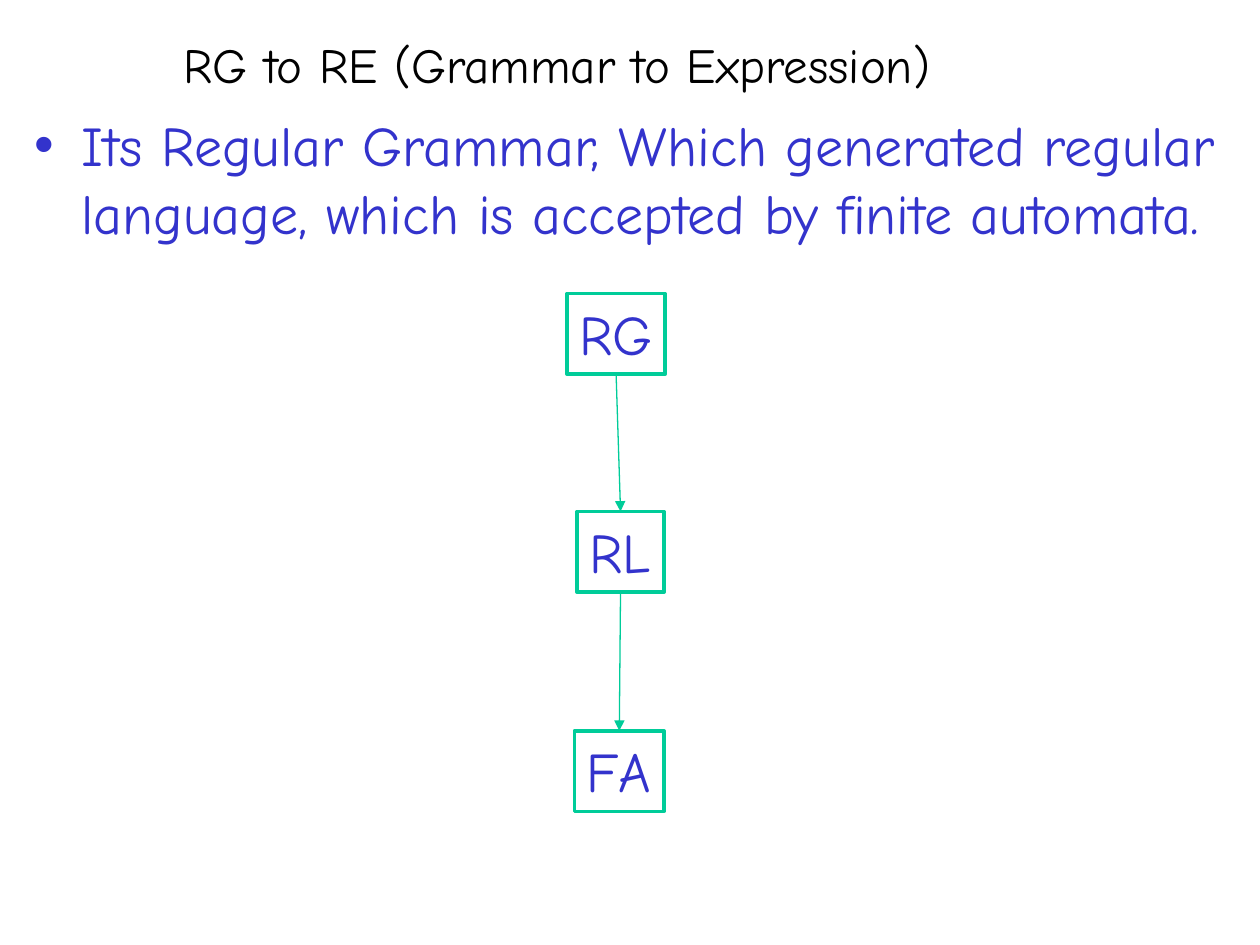
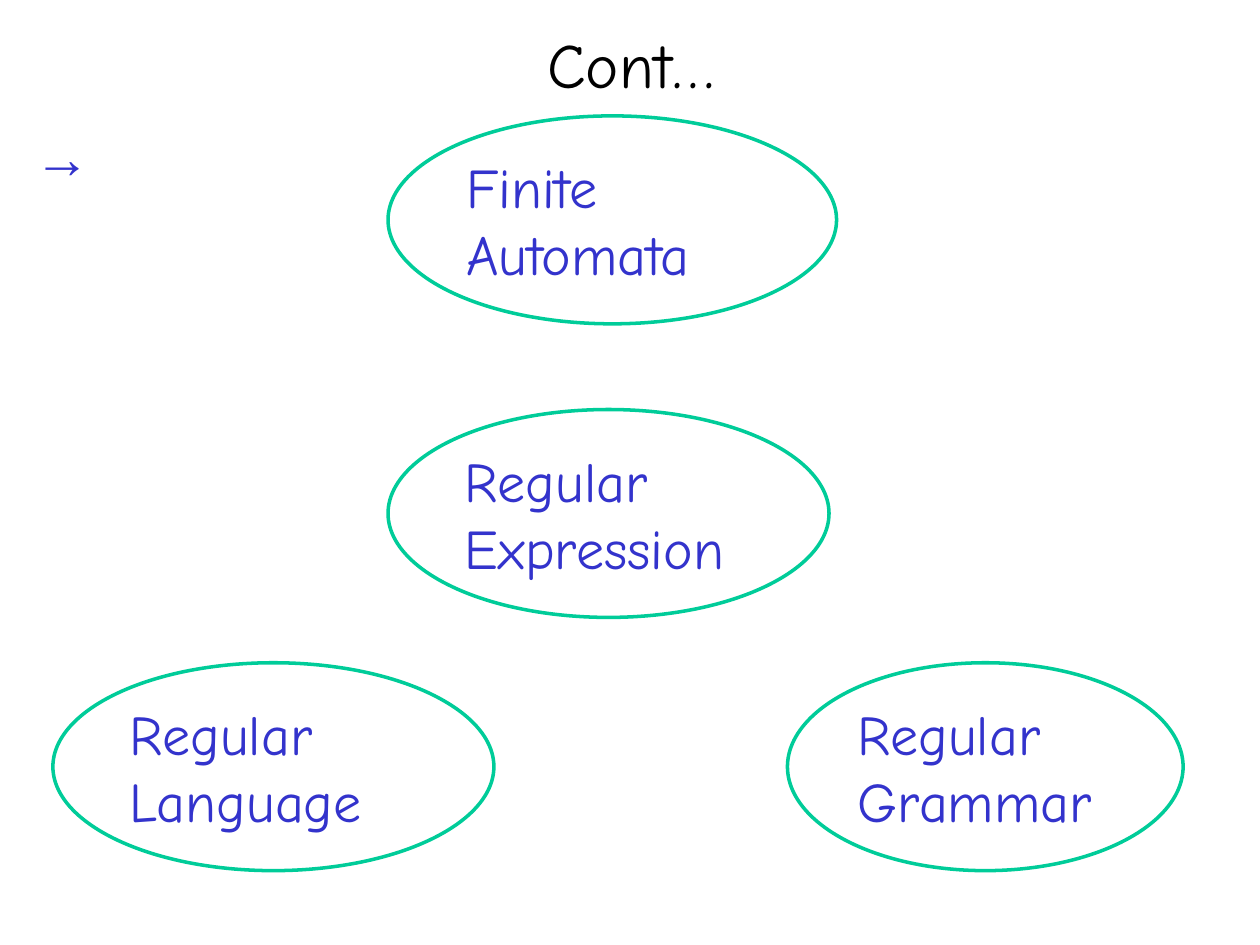
from dataclasses import dataclass

from pptx import Presentation
from pptx.dml.color import RGBColor
from pptx.enum.shapes import MSO_CONNECTOR, MSO_SHAPE
from pptx.enum.text import MSO_ANCHOR, MSO_AUTO_SIZE, PP_ALIGN
from pptx.oxml.ns import qn
from pptx.util import Inches, Pt

BLACK = RGBColor(0x00, 0x00, 0x00)
WHITE = RGBColor(0xFF, 0xFF, 0xFF)
BLUE = RGBColor(0x33, 0x33, 0xCC)
GREEN = RGBColor(0x00, 0xCC, 0x99)
FONT = "Comic Neue"
SYMBOL_FONT = "Arial"
TEXT_SIZE = 32
MARGIN = 0.17
CONTENT_WIDTH = 9.67
BOX_HEIGHT = 0.64
OVAL_HEIGHT = 1.65


@dataclass
class Node:
    text: str
    left: float
    top: float
    width: float


CHAIN = [
    Node("RG", 4.5, 2.33, 0.78),
    Node("RL", 4.58, 4.06, 0.69),
    Node("FA", 4.56, 5.8, 0.71),
]
OVALS = [
    Node("Regular Expression", 3.08, 3.25, 3.5),
    Node("Finite Automata", 3.08, 0.92, 3.56),
    Node("Regular Language", 0.42, 5.26, 3.5),
    Node("Regular Grammar", 6.25, 5.26, 3.14),
]


def place(sp, left: float, top: float, width: float, height: float) -> None:
    sp.left, sp.top = Inches(left), Inches(top)
    sp.width, sp.height = Inches(width), Inches(height)


def write(sp, text: str, size: int, color: RGBColor, anchor,
          align=PP_ALIGN.LEFT, font: str = FONT):
    """Fill a shape with one styled paragraph and return the paragraph."""
    tf = sp.text_frame
    tf.text = text
    tf.auto_size = MSO_AUTO_SIZE.NONE
    tf.vertical_anchor = anchor
    p = tf.paragraphs[0]
    p.alignment = align
    p.space_before = Pt(0)
    for r in p.runs:
        r.font.name, r.font.size = font, Pt(size)
        r.font.color.rgb = color
    return p


def add_slide(prs, title: str, title_size: int, title_width: float,
              body: str, body_top: float, body_font: str = FONT):
    """Add a titled slide; return it with its body paragraph."""
    s = prs.slides.add_slide(prs.slide_layouts[1])
    place(s.shapes.title, MARGIN, MARGIN, title_width, 0.67)
    write(s.shapes.title, title, title_size, BLACK, MSO_ANCHOR.MIDDLE, PP_ALIGN.CENTER)
    sp = s.placeholders[1]
    place(sp, MARGIN, body_top, CONTENT_WIDTH, 6)
    p = write(sp, body, TEXT_SIZE, BLUE, MSO_ANCHOR.TOP, font=body_font)
    return s, p


def add_node(s, node: Node, preset, height: float, wrap: bool):
    sp = s.shapes.add_shape(preset, Inches(node.left), Inches(node.top),
                            Inches(node.width), Inches(height))
    sp.shadow.inherit = False
    sp.fill.solid()
    sp.fill.fore_color.rgb = WHITE
    sp.line.color.rgb = GREEN
    sp.line.width = Pt(2)
    write(sp, node.text, TEXT_SIZE, BLUE, MSO_ANCHOR.TOP)
    sp.text_frame.word_wrap = wrap
    return sp


def add_arrow(s, upper, lower) -> None:
    """Join the bottom of one box to the top of the next."""
    line = s.shapes.add_connector(MSO_CONNECTOR.STRAIGHT, 0, 0, 0, 0)
    line.begin_connect(upper, 2)
    line.end_connect(lower, 0)
    line.line.color.rgb = GREEN
    line.line.width = Pt(0.75)
    ln = line.line._get_or_add_ln()
    ln.append(ln.makeelement(qn("a:tailEnd"), {"type": "triangle"}))
    sp_pr = ln.getparent()
    sp_pr.append(sp_pr.makeelement(qn("a:effectLst"), {}))


def remove_bullet(p) -> None:
    p_pr = p._p.get_or_add_pPr()
    p_pr.set("marL", "0")
    p_pr.set("indent", "0")
    p_pr.append(p_pr.makeelement(qn("a:buNone"), {}))


def main() -> None:
    prs = Presentation()
    prs.slide_width, prs.slide_height = Inches(10), Inches(7.5)

    # Grammar, language and automaton chain
    s, _ = add_slide(prs, "RG to RE (Grammar to Expression)", 28, 8.5,
                     "Its Regular Grammar, Which generated regular language, "
                     "which is accepted by finite automata.", 0.83)
    boxes = [add_node(s, n, MSO_SHAPE.RECTANGLE, BOX_HEIGHT, False) for n in CHAIN]
    for upper, lower in zip(boxes, boxes[1:]):
        add_arrow(s, upper, lower)

    # Four related concepts
    s, p = add_slide(prs, "Cont…", 36, CONTENT_WIDTH, "→", 0.92, SYMBOL_FONT)
    remove_bullet(p)
    for n in OVALS:
        add_node(s, n, MSO_SHAPE.OVAL, OVAL_HEIGHT, True)

    prs.save("out.pptx")


if __name__ == "__main__":
    main()
